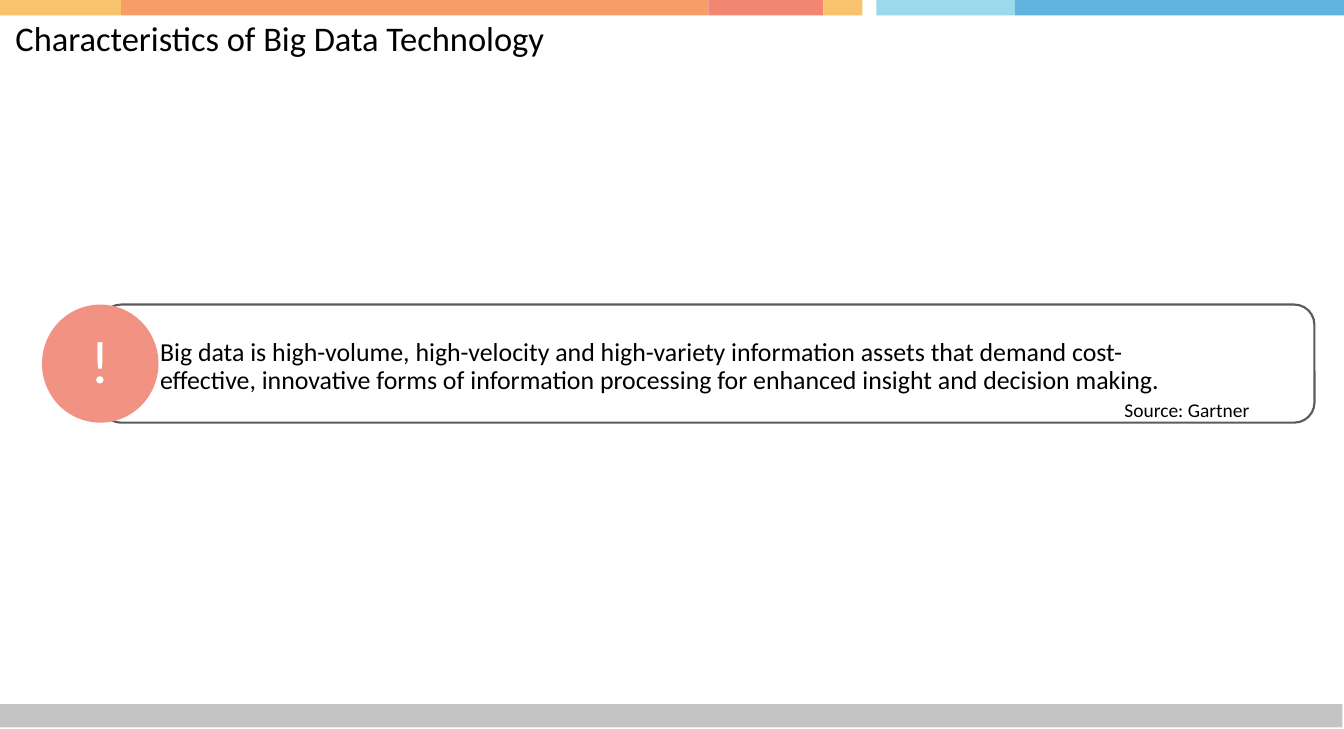
from pptx import Presentation
from pptx.dml.color import RGBColor
from pptx.enum.shapes import MSO_SHAPE as SHAPE
from pptx.enum.text import PP_ALIGN as ALIGN
from pptx.util import Inches, Pt

BLACK = RGBColor(0x00, 0x00, 0x00)
WHITE = RGBColor(0xFF, 0xFF, 0xFF)
GRAY = RGBColor(0xC4, 0xC4, 0xC4)
OUTLINE = RGBColor(0x5B, 0x5B, 0x5B)
YELLOW = RGBColor(0xF9, 0xC3, 0x6E)
ORANGE = RGBColor(0xF6, 0x9E, 0x66)
CORAL = RGBColor(0xF3, 0x85, 0x73)
PINK = RGBColor(0xF1, 0x92, 0x82)
AQUA = RGBColor(0x9C, 0xDA, 0xEB)
BLUE = RGBColor(0x60, 0xB4, 0xDF)

prs = Presentation()
prs.slide_width, prs.slide_height = Inches(8.65), Inches(4.69)
s = prs.slides.add_slide(prs.slide_layouts[6])


def add_block(kind, x, y, w, h, fill=None):
    sp = s.shapes.add_shape(kind, Inches(x), Inches(y), Inches(w), Inches(h))
    sp.shadow.inherit = False
    sp.line.fill.background()
    if fill is None:
        sp.fill.background()
    else:
        sp.fill.solid()
        sp.fill.fore_color.rgb = fill
    return sp


def add_text(text, x, y, w, h, size, color=BLACK, align=ALIGN.LEFT):
    tf = s.shapes.add_textbox(Inches(x), Inches(y), Inches(w), Inches(h)).text_frame
    tf.word_wrap = True
    tf.margin_left = tf.margin_top = tf.margin_right = tf.margin_bottom = 0
    p = tf.paragraphs[0]
    p.alignment = align
    r = p.add_run()
    r.text = text
    for name, value in {"name": "Calibri", "size": Pt(size)}.items():
        setattr(r.font, name, value)
    r.font.color.rgb = color
    return p


# Footer bar and top colour strip
add_block(SHAPE.RECTANGLE, 0, 4.53, 8.64, 0.15, GRAY)
for left, right, color in [
    (0, 0.78, YELLOW), (0.78, 4.56, ORANGE), (4.56, 5.3, CORAL),
    (5.3, 5.55, YELLOW), (5.64, 6.53, AQUA), (6.53, 8.65, BLUE),
]:
    add_block(SHAPE.RECTANGLE, left, 0, right - left, 0.1, color)

# Title
add_text("Characteristics of Big Data Technology", 0.1, 0.11, 8.47, 0.29, 16)

# Definition box with its source
frame = add_block(SHAPE.ROUNDED_RECTANGLE, 0.65, 1.96, 7.81, 0.76)
frame.adjustments[0] = 0.17
frame.line.color.rgb = OUTLINE
frame.line.width = Pt(1)
p = add_text("Big data is high-volume, high-velocity and high-variety information "
             "assets that demand cost-effective, innovative forms of information "
             "processing for enhanced insight and decision making.",
             1.03, 2.18, 6.72, 0.36, 12)
p.line_spacing = Pt(13)
add_text("Source: Gartner", 6.04, 2.56, 2, 0.16, 9, align=ALIGN.RIGHT)

# Exclamation badge
add_block(SHAPE.OVAL, 0.27, 1.96, 0.75, 0.76, PINK)
add_text("!", 0.57, 2.08, 0.15, 0.5, 28, WHITE, ALIGN.CENTER)

prs.save("out.pptx")
